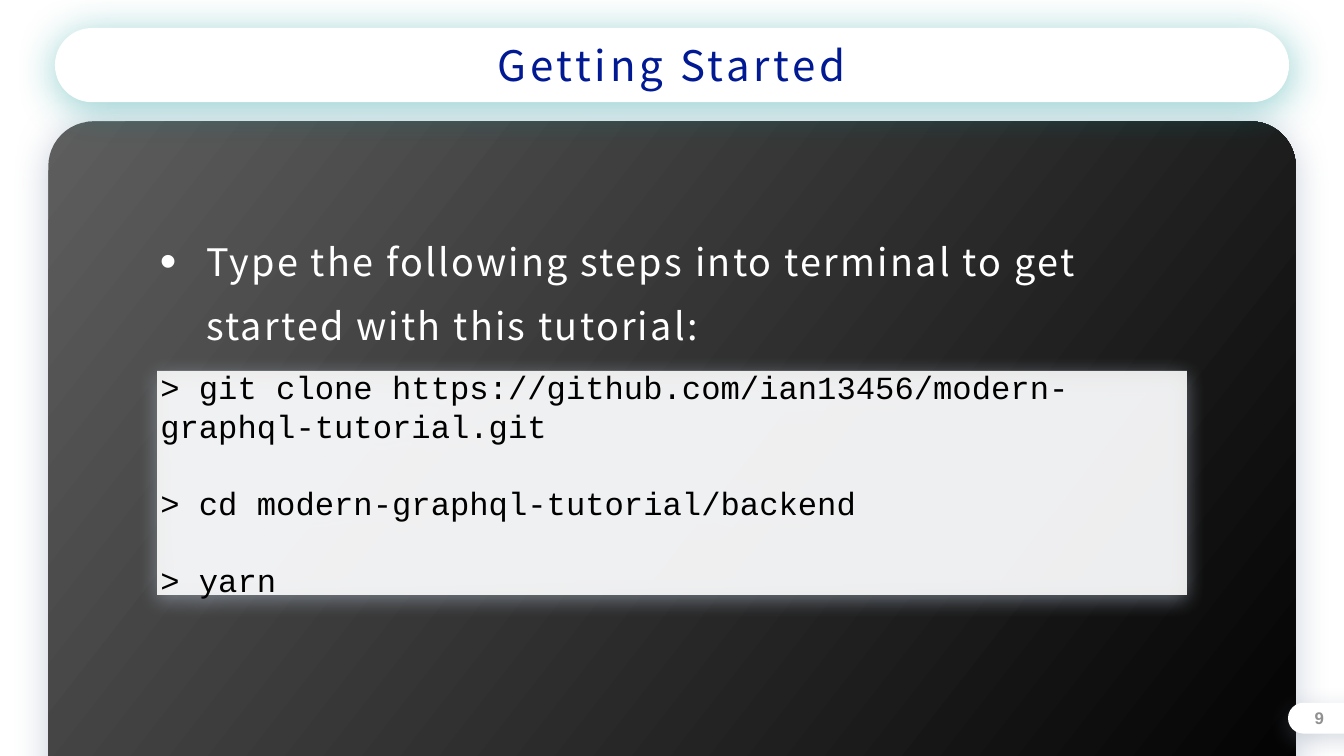
import dataclasses

import pptx
import pptx.dml.color
import pptx.enum.shapes
import pptx.enum.text
import pptx.oxml
import pptx.oxml.ns
import pptx.util
from lxml import etree

Pt = pptx.util.Pt
Anchor = pptx.enum.text.MSO_ANCHOR
Align = pptx.enum.text.PP_ALIGN
Shape = pptx.enum.shapes.MSO_SHAPE
qn = pptx.oxml.ns.qn


@dataclasses.dataclass(frozen=True)
class Theme:
    heading_font: str = "Noto Sans CJK SC"
    code_font: str = "Courier New"
    number_font: str = "Arial"
    title_size: int = 60
    body_size: int = 54
    code_size: int = 46
    number_size: int = 24
    white: str = "FFFFFF"
    black: str = "000000"
    grey: str = "5E5E5E"
    navy: str = "011993"
    number_grey: str = "919191"
    teal_glow: str = "009193"
    pale_glow: str = "A7B4C6"
    slate_glow: str = "7A899F"


def rgb(color):
    return pptx.dml.color.RGBColor.from_string(color)


class TutorialSlide:
    """Holds the theme and the slide being built."""

    def __init__(self, presentation, theme):
        self.theme = theme
        self.slide = presentation.slides.add_slide(presentation.slide_layouts[1])

    def card(self, box, color, glow, alpha, blur, distance=6.6,
             corner=None, end_color=None, opacity=100):
        """A filled panel with a soft shadow below it."""
        kind = Shape.RECTANGLE if corner is None else Shape.ROUNDED_RECTANGLE
        card = self.slide.shapes.add_shape(kind, *map(Pt, box))
        if corner is not None:
            card.adjustments[0] = corner
        card.line.fill.background()
        if end_color:
            card.fill.gradient()
            card.fill.gradient_angle = 322
            for stop, stop_color in zip(card.fill.gradient_stops, (color, end_color)):
                stop.color.rgb = rgb(stop_color)
        else:
            card.fill.solid()
            card.fill.fore_color.rgb = rgb(color)
        properties = card.element.spPr
        if opacity < 100:
            fill_color = properties.find(".//" + qn("a:srgbClr"))
            etree.SubElement(fill_color, qn("a:alpha"), val=str(opacity * 1000))
        card.shadow.inherit = False
        shadow = etree.SubElement(
            properties.find(qn("a:effectLst")), qn("a:outerShdw"),
            blurRad=str(Pt(blur)), dist=str(Pt(distance)), dir="5400000",
            algn="ctr", rotWithShape="0")
        shadow_color = etree.SubElement(shadow, qn("a:srgbClr"), val=glow)
        etree.SubElement(shadow_color, qn("a:alpha"), val=str(alpha * 1000))
        return card

    def frame(self, shape, inset=4.5, top=None):
        """Prepare a shape's text frame."""
        frame = shape.text_frame
        frame.word_wrap = True
        frame.auto_size = pptx.enum.text.MSO_AUTO_SIZE.NONE
        frame.vertical_anchor = Anchor.MIDDLE
        frame.margin_left = frame.margin_right = frame.margin_bottom = Pt(inset)
        frame.margin_top = Pt(inset if top is None else top)
        return frame

    def style(self, paragraph, font, size, color, align=Align.LEFT,
              tracking=0, bold=False):
        paragraph.alignment = align
        paragraph.font.name = font
        paragraph.font.size = Pt(size)
        paragraph.font.bold = bold
        paragraph.font.color.rgb = rgb(color)
        if tracking:
            defaults = paragraph._p.get_or_add_pPr().find(qn("a:defRPr"))
            defaults.set("spc", str(round(tracking * 100)))

    def place(self, placeholder, box):
        """Move a template placeholder, in front of what is drawn so far."""
        placeholder.left, placeholder.top, placeholder.width, placeholder.height = map(Pt, box)
        self.slide.shapes.element.append(placeholder.element)

    def title(self, text, box):
        heading = self.slide.shapes.title
        self.place(heading, box)
        paragraph = self.frame(heading).paragraphs[0]
        paragraph.text = text
        self.style(paragraph, self.theme.heading_font, self.theme.title_size,
                   self.theme.navy, Align.CENTER, tracking=5.4)

    def bullet(self, text, box):
        instruction = self.slide.placeholders[1]
        self.place(instruction, box)
        paragraph = self.frame(instruction, top=18).paragraphs[0]
        paragraph.text = text
        paragraph.line_spacing = Pt(91)
        paragraph.space_before = Pt(0)
        properties = paragraph._p.get_or_add_pPr()
        properties.set("marL", str(Pt(66)))
        properties.set("indent", str(Pt(-66)))
        etree.SubElement(properties, qn("a:buSzPct"), val="125000")
        etree.SubElement(properties, qn("a:buFont"), typeface="Arial")
        etree.SubElement(properties, qn("a:buChar"), char="•")
        self.style(paragraph, self.theme.heading_font, self.theme.body_size,
                   self.theme.white, tracking=3.2)

    def code(self, commands, box):
        panel = self.card(box, self.theme.white, self.theme.pale_glow, 61, 30, opacity=89)
        frame = self.frame(panel)
        line_height = Pt(55)
        for index, command in enumerate(commands):
            paragraph = frame.add_paragraph() if index else frame.paragraphs[0]
            paragraph.text = command
            paragraph.line_spacing = line_height
            if index:
                paragraph.space_before = line_height
            self.style(paragraph, self.theme.code_font, self.theme.code_size,
                       self.theme.black)

    def page_number(self, number, box):
        corner_note = self.slide.shapes.add_textbox(*map(Pt, box))
        paragraph = self.frame(corner_note, inset=3.6).paragraphs[0]
        paragraph.text = number
        self.style(paragraph, self.theme.number_font, self.theme.number_size,
                   self.theme.number_grey, Align.RIGHT, bold=True)


def main():
    presentation = pptx.Presentation()
    presentation.slide_width, presentation.slide_height = Pt(1920), Pt(1080)
    theme = Theme()
    page = TutorialSlide(presentation, theme)

    # Backdrop panel and page number tab
    page.card((69, 173.5, 1782, 1033), theme.grey, theme.pale_glow, 61, 50,
              corner=0.062, end_color=theme.black)
    page.card((1840, 1004, 122, 44), theme.white, theme.slate_glow, 31, 34,
              distance=9.5, corner=0.5)

    # Title on its pill
    title_box = (78.5, 40, 1763, 106)
    page.card(title_box, theme.white, theme.teal_glow, 44, 60, corner=0.5)
    page.title("Getting Started", title_box)

    # Instruction and terminal commands
    page.bullet("Type the following steps into terminal to get started with this tutorial:",
                (224, 329, 1473, 140))
    page.code(("> git clone https://github.com/ian13456/modern-graphql-tutorial.git",
               "> cd modern-graphql-tutorial/backend",
               "> yarn"), (224.5, 530, 1471, 320))

    # Page number
    page.page_number("9", (1841, 1008, 54, 36))

    presentation.save("out.pptx")


if __name__ == "__main__":
    main()
